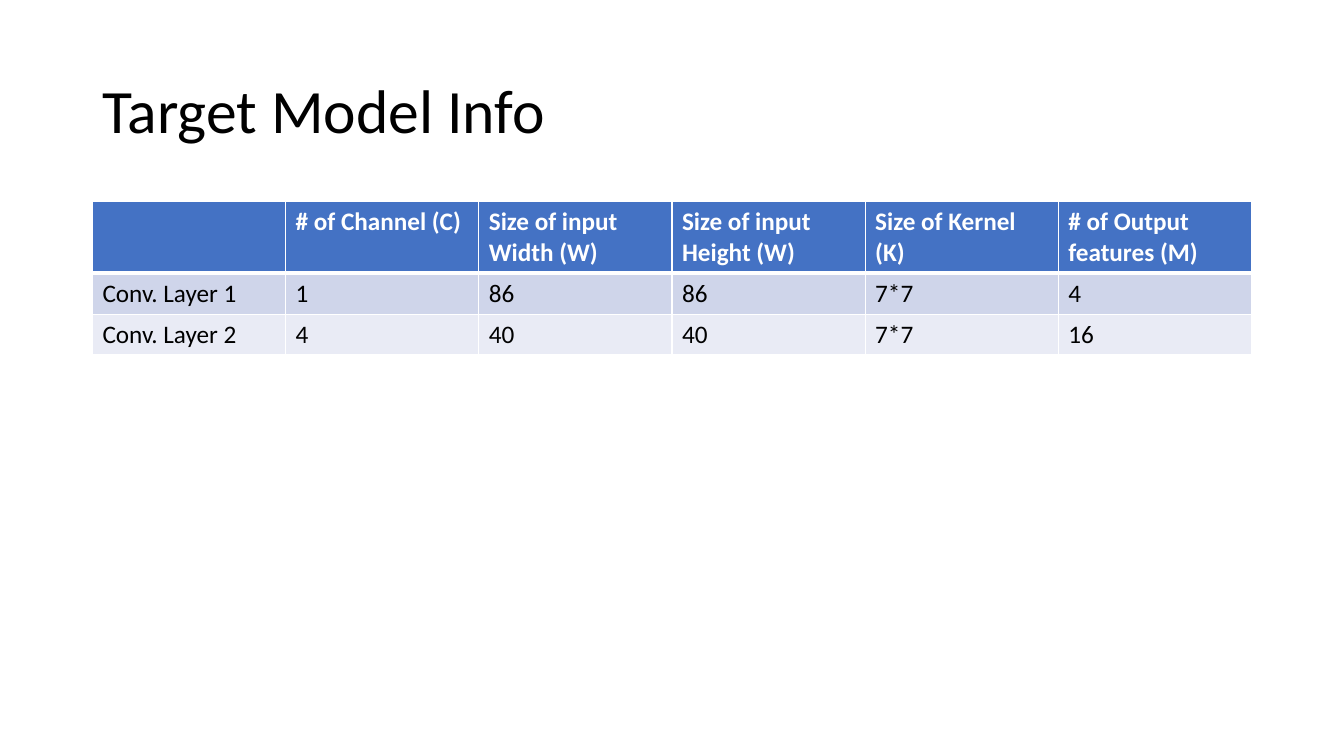
import pptx
import pptx.dml.color
import pptx.enum.text
import pptx.oxml
import pptx.oxml.ns
import pptx.util

Cm, Pt = pptx.util.Cm, pptx.util.Pt
FONT = "Calibri"
WHITE, BLACK, HEADER_BLUE = "FFFFFF", "000000", "4472C4"
BANDS = ["CFD5EA", "E9EBF5"]
HEADER_HEIGHT, ROW_HEIGHT = 1.77, 1.03

LAYERS = [
    ["", "# of Channel (C)", "Size of input Width (W)", "Size of input Height (W)",
     "Size of Kernel (K)", "# of Output features (M)"],
    ["Conv. Layer 1", "1", "86", "86", "7*7", "4"],
    ["Conv. Layer 2", "4", "40", "40", "7*7", "16"],
]


def rgb(value):
    """Return the colour for a hex string."""
    return pptx.dml.color.RGBColor.from_string(value)


def set_font(p, size, color, bold=False):
    """Set the font of a whole paragraph."""
    p.font.name, p.font.size, p.font.bold = FONT, Pt(size), bold
    p.font.color.rgb = rgb(color)


def set_borders(cell, **widths):
    """Draw white cell borders with widths in points, keyed L, R, T, B."""
    tc_pr = cell._tc.get_or_add_tcPr()
    for side in "LRTB":
        tc_pr.append(pptx.oxml.parse_xml(
            f'<a:ln{side} {pptx.oxml.ns.nsdecls("a")} w="{Pt(widths.get(side, 1))}">'
            f'<a:solidFill><a:srgbClr val="{WHITE}"/></a:solidFill></a:ln{side}>'))


def add_title(slide, text, left, top, width, height):
    """Place and format the title placeholder in the given box."""
    sp = slide.shapes.title
    sp.left, sp.top, sp.width, sp.height = Cm(left), Cm(top), Cm(width), Cm(height)
    tf = sp.text_frame
    tf.text = text
    tf.word_wrap = True
    tf.vertical_anchor = pptx.enum.text.MSO_ANCHOR.MIDDLE
    p = tf.paragraphs[0]
    p.alignment = pptx.enum.text.PP_ALIGN.LEFT
    p.line_spacing = 0.9
    set_font(p, 44, BLACK)


def add_layer_table(slide, rows, left, top, width):
    """Add the layer table: a header row above banded rows, equal columns."""
    heights = [HEADER_HEIGHT] + [ROW_HEIGHT] * (len(rows) - 1)
    table = slide.shapes.add_table(len(rows), len(rows[0]), Cm(left), Cm(top),
                                   Cm(width), Cm(sum(heights))).table
    for r, values in enumerate(rows):
        table.rows[r].height = Cm(heights[r])
        header = r == 0
        for c, value in enumerate(values):
            cell = table.cell(r, c)
            cell.text = value
            set_font(cell.text_frame.paragraphs[0], 18, WHITE if header else BLACK, header)
            set_borders(cell, B=3 if header else 1, T=3 if r == 1 else 1)
            cell.fill.solid()
            cell.fill.fore_color.rgb = rgb(HEADER_BLUE if header else BANDS[(r - 1) % 2])


def main():
    """Build the slide and save it."""
    prs = pptx.Presentation()
    prs.slide_width, prs.slide_height = Cm(33.87), Cm(19.05)
    slide = prs.slides.add_slide(prs.slide_layouts[5])
    left, width = 2.33, 29.21
    add_title(slide, "Target Model Info", left, 1.01, width, 3.68)
    add_layer_table(slide, LAYERS, left, 5.08, width)
    prs.save("out.pptx")


main()
